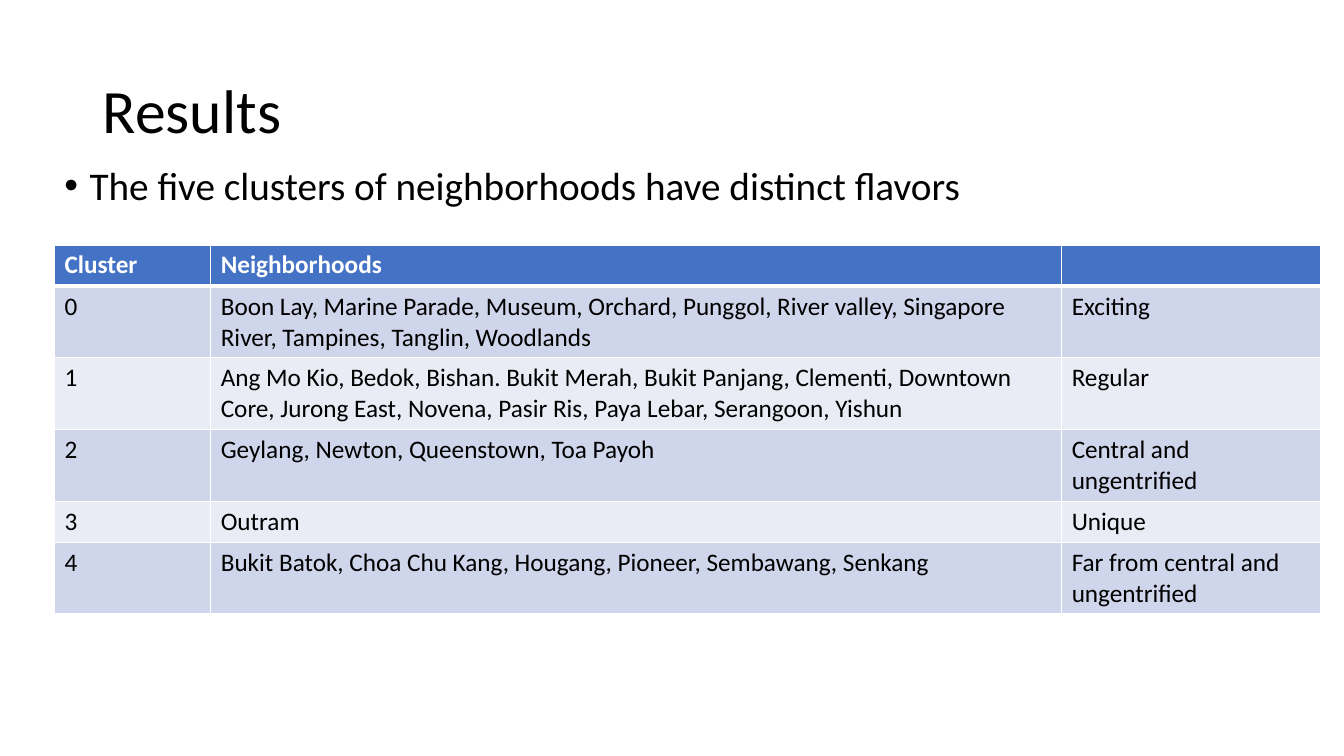
from lxml import etree
from pptx import Presentation
from pptx.dml.color import RGBColor
from pptx.enum.text import MSO_ANCHOR, PP_ALIGN
from pptx.oxml.ns import qn
from pptx.util import Inches, Pt

# Content
TITLE = "Results"
FINDING = "The five clusters of neighborhoods have distinct flavors"
CLUSTERS = [
    ("Cluster", "Neighborhoods", ""),
    ("0", "Boon Lay, Marine Parade, Museum, Orchard, Punggol, River valley, "
          "Singapore River, Tampines, Tanglin, Woodlands", "Exciting"),
    ("1", "Ang Mo Kio, Bedok, Bishan. Bukit Merah, Bukit Panjang, Clementi, "
          "Downtown Core, Jurong East, Novena, Pasir Ris, Paya Lebar, "
          "Serangoon, Yishun", "Regular"),
    ("2", "Geylang, Newton, Queenstown, Toa Payoh", "Central and ungentrified"),
    ("3", "Outram", "Unique"),
    ("4", "Bukit Batok, Choa Chu Kang, Hougang, Pioneer, Sembawang, Senkang",
     "Far from central and ungentrified"),
]

# Look and layout
FONT = "Calibri"
BLACK = RGBColor(0x00, 0x00, 0x00)
WHITE = RGBColor(0xFF, 0xFF, 0xFF)
HEADER_BLUE = RGBColor(0x44, 0x72, 0xC4)
BANDS = (RGBColor(0xE9, 0xEB, 0xF5), RGBColor(0xCF, 0xD5, 0xEA))
MIDDLE, LEFT = MSO_ANCHOR.MIDDLE, PP_ALIGN.LEFT
LEFT_EDGE = 0.54
COLUMN_WIDTHS = (1.55, 8.44, 2.57)
ONE_LINE, TWO_LINES = 0.41, 0.71
ROW_HEIGHTS = (ONE_LINE, TWO_LINES, TWO_LINES, TWO_LINES, ONE_LINE, TWO_LINES)


def set_font(paragraph, size, color, bold=False):
    font = paragraph.font
    font.name, font.size, font.bold = FONT, Pt(size), bold
    font.color.rgb = color


def set_borders(cell, bottom_width, top_width):
    properties = cell._tc.get_or_add_tcPr()
    for side, width in (("L", 1), ("R", 1), ("T", top_width), ("B", bottom_width)):
        line = etree.SubElement(properties, qn(f"a:ln{side}"), w=str(Pt(width)))
        fill = etree.SubElement(line, qn("a:solidFill"))
        etree.SubElement(fill, qn("a:srgbClr"), val=str(WHITE))


presentation = Presentation()
presentation.slide_width, presentation.slide_height = Inches(13.33), Inches(7.5)
slide = presentation.slides.add_slide(presentation.slide_layouts[5])

# Title
title = slide.shapes.title
title.left, title.top = Inches(0.92), Inches(0.4)
title.width, title.height = Inches(11.5), Inches(1.45)
title.text_frame.text = TITLE
title.text_frame.vertical_anchor = MIDDLE
heading = title.text_frame.paragraphs[0]
heading.alignment, heading.line_spacing = LEFT, 0.9
set_font(heading, 44, BLACK)

# Cluster table
table = slide.shapes.add_table(
    len(CLUSTERS), len(COLUMN_WIDTHS), Inches(LEFT_EDGE), Inches(2.43),
    Inches(sum(COLUMN_WIDTHS)), Inches(sum(ROW_HEIGHTS))).table
for column, width in zip(table.columns, COLUMN_WIDTHS):
    column.width = Inches(width)
for r, (row, height) in enumerate(zip(CLUSTERS, ROW_HEIGHTS)):
    table.rows[r].height = Inches(height)
    is_header = r == 0
    for c, text in enumerate(row):
        cell = table.cell(r, c)
        cell.text = text
        set_font(cell.text_frame.paragraphs[0], 18,
                 WHITE if is_header else BLACK, is_header)
        set_borders(cell, 3 if is_header else 1, 3 if r == 1 else 1)
        cell.fill.solid()
        cell.fill.fore_color.rgb = HEADER_BLUE if is_header else BANDS[r % 2]

# Finding above the table
finding_box = slide.shapes.add_textbox(
    Inches(LEFT_EDGE), Inches(1.6), Inches(11.5), Inches(0.74))
finding_box.text_frame.word_wrap = True
finding = finding_box.text_frame.paragraphs[0]
finding.text = FINDING
finding.line_spacing = 0.9
indents = finding._p.get_or_add_pPr()
indents.set("marL", str(Inches(0.25)))
indents.set("indent", str(Inches(-0.25)))
etree.SubElement(indents, qn("a:buFont"), typeface="Arial")
etree.SubElement(indents, qn("a:buChar"), char="•")
set_font(finding, 28, BLACK)

presentation.save("out.pptx")
